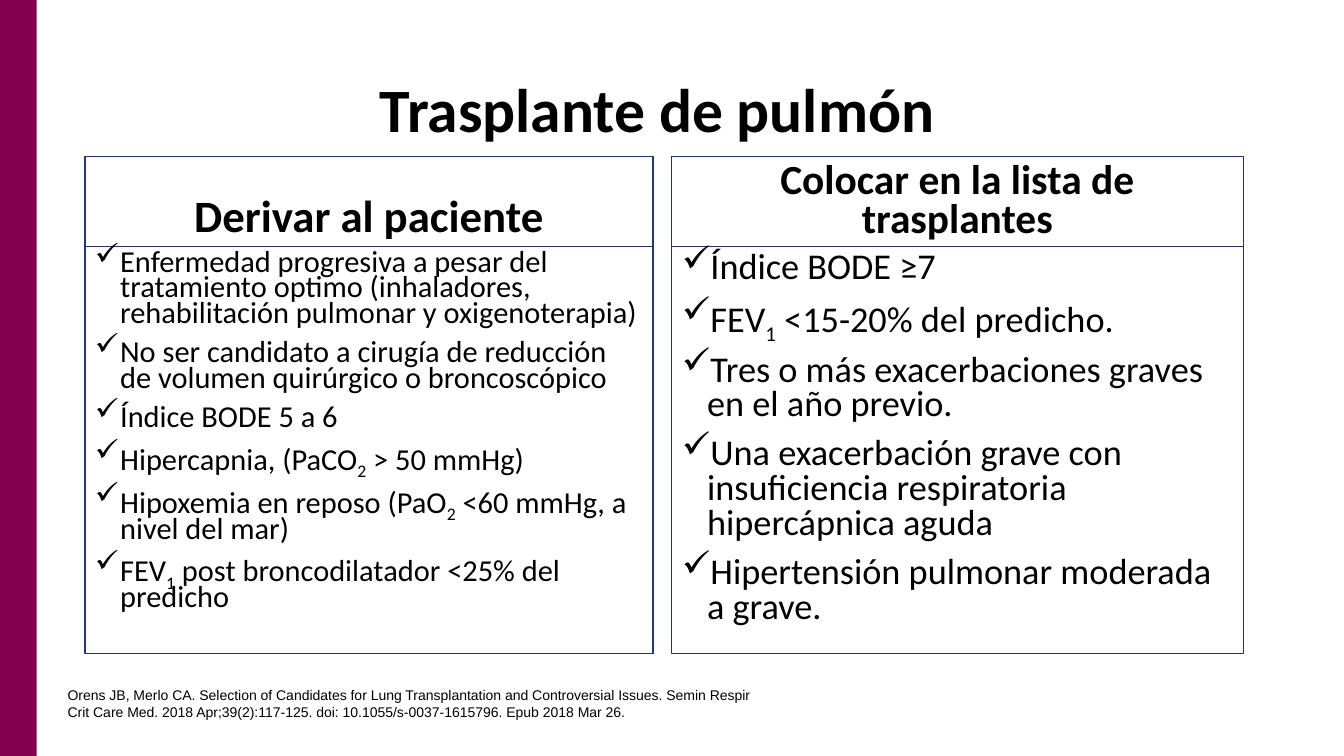
from dataclasses import dataclass

from lxml import etree
from pptx import Presentation
from pptx.dml.color import RGBColor
from pptx.enum.shapes import MSO_SHAPE
from pptx.enum.text import MSO_ANCHOR, PP_ALIGN
from pptx.oxml.ns import qn
from pptx.util import Pt

RECTANGLE = MSO_SHAPE.RECTANGLE
TOP, MIDDLE, BOTTOM = MSO_ANCHOR.TOP, MSO_ANCHOR.MIDDLE, MSO_ANCHOR.BOTTOM
LEFT, CENTER = PP_ALIGN.LEFT, PP_ALIGN.CENTER

EMU_PER_PX = 9525
SLIDE_WIDTH, SLIDE_HEIGHT = 1280, 720
HEADING_HEIGHT = 86
BULLET_INDENT = 24
TITLE_RIGHT_INSET = 37


@dataclass(frozen=True)
class Theme:
    text: RGBColor = RGBColor(0x00, 0x00, 0x00)
    band: RGBColor = RGBColor(0x83, 0x00, 0x51)
    border: RGBColor = RGBColor(0x20, 0x38, 0x64)
    main_font: str = "Calibri"
    citation_font: str = "Arial"
    title_size: float = 44
    citation_size: float = 10
    border_width: float = 0.75
    paragraph_gap: float = 10


@dataclass(frozen=True)
class Column:
    box: tuple
    heading: str
    heading_size: float
    heading_spacing: float
    criteria: tuple
    criteria_size: float
    criteria_spacing: float


THEME = Theme()

REFER = Column(
    box=(81, 149, 541, 473),
    heading="Derivar al paciente",
    heading_size=32,
    heading_spacing=0.9,
    criteria=(
        "Enfermedad progresiva a pesar del tratamiento optimo "
        "(inhaladores, rehabilitación pulmonar y oxigenoterapia)",
        "No ser candidato a cirugía de reducción de volumen quirúrgico o broncoscópico",
        "Índice BODE 5 a 6",
        "Hipercapnia, (PaCO_2_ > 50 mmHg)",
        "Hipoxemia en reposo (PaO_2_ <60 mmHg, a nivel del mar)",
        "FEV_1_ post broncodilatador <25% del predicho",
    ),
    criteria_size=21.7,
    criteria_spacing=0.7,
)

WAITING_LIST = Column(
    box=(640, 149, 544, 473),
    heading="Colocar en la lista de trasplantes",
    heading_size=29.6,
    heading_spacing=0.8,
    criteria=(
        "Índice BODE ≥7",
        "FEV_1_ <15-20% del predicho.",
        "Tres o más exacerbaciones graves en el año previo.",
        "Una exacerbación grave con insuficiencia respiratoria hipercápnica aguda",
        "Hipertensión pulmonar moderada a grave.",
    ),
    criteria_size=25.9,
    criteria_spacing=0.8,
)

CITATION = (
    "Orens JB, Merlo CA. Selection of Candidates for Lung Transplantation and "
    "Controversial Issues. Semin Respir Crit Care Med. 2018 Apr;39(2):117-125. "
    "doi: 10.1055/s-0037-1615796. Epub 2018 Mar 26."
)


def px(length):
    return length * EMU_PER_PX


def add_text_box(slide, box, anchor):
    shape = slide.shapes.add_textbox(*map(px, box))
    shape.text_frame.word_wrap = True
    shape.text_frame.vertical_anchor = anchor
    return shape


def add_bordered_box(slide, box, anchor):
    shape = add_text_box(slide, box, anchor)
    shape.line.color.rgb = THEME.border
    shape.line.width = Pt(THEME.border_width)
    return shape.text_frame


def add_bullet(paragraph):
    properties = paragraph._p.get_or_add_pPr()
    properties.set("marL", str(px(BULLET_INDENT)))
    properties.set("indent", str(-px(BULLET_INDENT)))
    etree.SubElement(properties, qn("a:buChar"), char="✓")


def write_paragraph(paragraph, text, size, font=THEME.main_font, bold=False,
                    alignment=LEFT, spacing=1.0):
    paragraph.alignment = alignment
    paragraph.line_spacing = spacing
    for index, part in enumerate(text.split("_")):
        run = paragraph.add_run()
        run.text = part
        run.font.name = font
        run.font.size = Pt(size)
        run.font.bold = bold
        run.font.color.rgb = THEME.text
        if index % 2:
            run._r.get_or_add_rPr().set("baseline", "-25000")


def add_side_band(slide, box):
    band = slide.shapes.add_shape(RECTANGLE, *map(px, box))
    band.shadow.inherit = False
    band.fill.solid()
    band.fill.fore_color.rgb = THEME.band
    band.line.fill.background()


def add_title(slide, box):
    frame = add_text_box(slide, box, MIDDLE).text_frame
    frame.margin_right = px(TITLE_RIGHT_INSET)
    write_paragraph(frame.paragraphs[0], "Trasplante de pulmón", THEME.title_size,
                    bold=True, alignment=CENTER, spacing=0.9)


def add_column(slide, column):
    left, top, width, height = column.box
    heading = add_bordered_box(slide, (left, top, width, HEADING_HEIGHT), BOTTOM)
    write_paragraph(heading.paragraphs[0], column.heading, column.heading_size,
                    bold=True, alignment=CENTER, spacing=column.heading_spacing)

    body_box = (left, top + HEADING_HEIGHT, width, height - HEADING_HEIGHT)
    body = add_bordered_box(slide, body_box, TOP)
    for index, criterion in enumerate(column.criteria):
        paragraph = body.add_paragraph() if index else body.paragraphs[0]
        add_bullet(paragraph)
        if index:
            paragraph.space_before = Pt(THEME.paragraph_gap)
        write_paragraph(paragraph, criterion, column.criteria_size,
                        spacing=column.criteria_spacing)


def add_citation(slide, box):
    frame = add_text_box(slide, box, TOP).text_frame
    write_paragraph(frame.paragraphs[0], CITATION, THEME.citation_size,
                    font=THEME.citation_font)


def main():
    presentation = Presentation()
    presentation.slide_width = px(SLIDE_WIDTH)
    presentation.slide_height = px(SLIDE_HEIGHT)
    slide = presentation.slides.add_slide(presentation.slide_layouts[6])
    add_side_band(slide, (0, 0, 35, SLIDE_HEIGHT))
    add_title(slide, (88, 38, 1104, 139))
    for column in (REFER, WAITING_LIST):
        add_column(slide, column)
    add_citation(slide, (55, 649, 689, 42))
    presentation.save("out.pptx")


if __name__ == "__main__":
    main()
